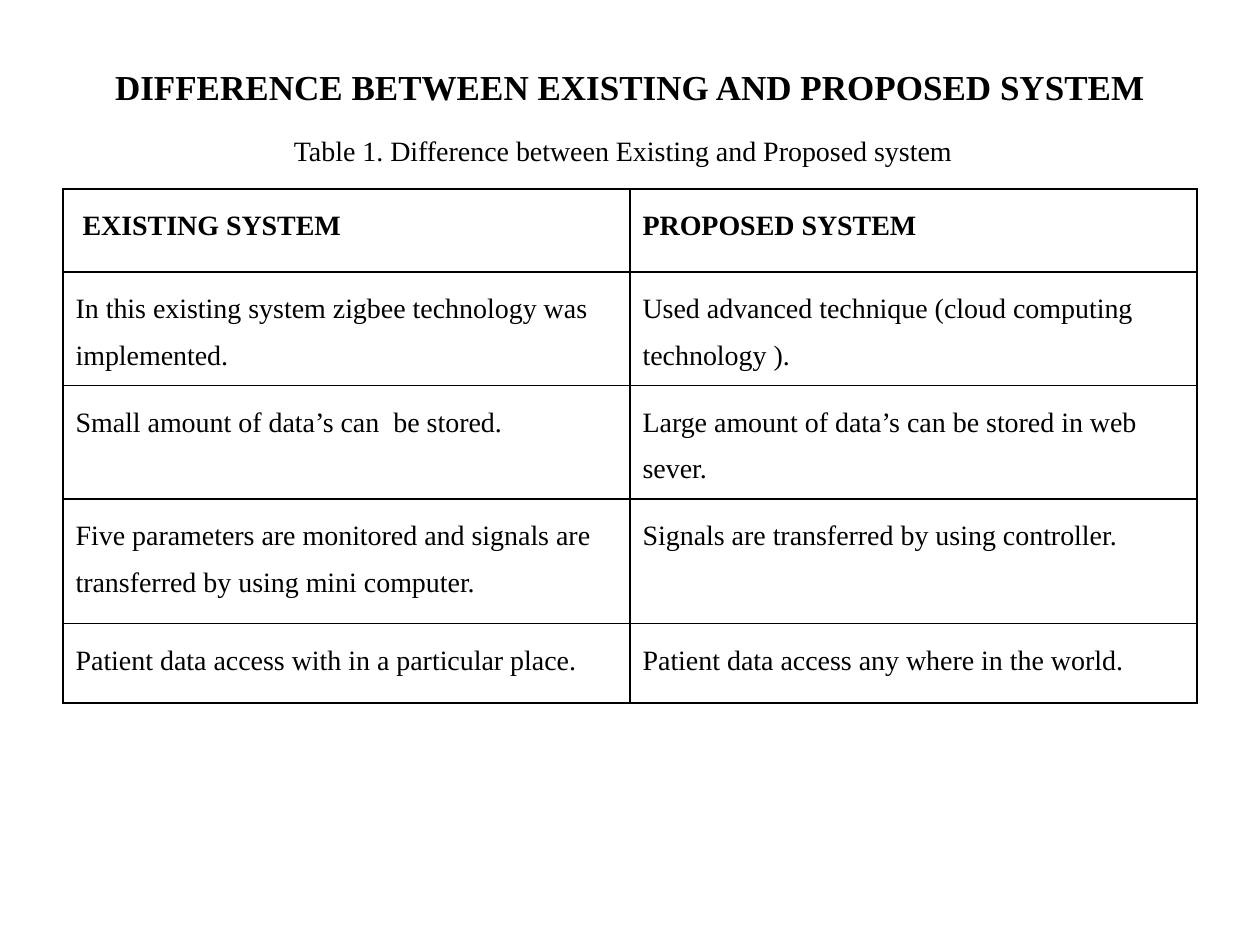
from lxml import etree
from pptx import Presentation
from pptx.dml.color import RGBColor
from pptx.enum import text
from pptx.oxml import ns
from pptx.util import Inches, Pt

COLORS = {"ink": "000000", "paper": "FFFFFF"}
FONT = "Times New Roman"
TITLE = "DIFFERENCE BETWEEN EXISTING AND PROPOSED SYSTEM"
CAPTION = "Table 1. Difference between Existing and Proposed system"
ROWS = [
    (0.66, " EXISTING SYSTEM", "PROPOSED SYSTEM"),
    (0.9, "In this existing system zigbee technology was implemented.",
     "Used advanced technique (cloud computing technology )."),
    (0.9, "Small amount of data’s can  be stored.",
     "Large amount of data’s can be stored in web sever."),
    (0.99, "Five parameters are monitored and signals are transferred by using mini computer.",
     "Signals are transferred by using controller."),
    (0.63, "Patient data access with in a particular place.",
     "Patient data access any where in the world."),
]
COLUMN_WIDTH = 4.5


def write(frame, words, size, bold=False, align=text.PP_ALIGN.LEFT, spacing=None):
    paragraph = frame.paragraphs[0]
    paragraph.alignment = align
    if spacing:
        paragraph.line_spacing = spacing
    run = paragraph.add_run()
    run.text = words
    run.font.name = FONT
    run.font.size = Pt(size)
    run.font.bold = bold
    run.font.color.rgb = RGBColor.from_string(COLORS["ink"])


def add_title(slide):
    title = slide.shapes.title
    title.left, title.top = Inches(0.5), Inches(0.3)
    title.width, title.height = Inches(9), Inches(0.78)
    title.text_frame.vertical_anchor = text.MSO_ANCHOR.MIDDLE
    write(title.text_frame, TITLE, 20, True, text.PP_ALIGN.CENTER)


def add_caption(slide):
    box = slide.shapes.add_textbox(Inches(0.61), Inches(1.01), Inches(8.67), Inches(0.37))
    box.text_frame.word_wrap = True
    box.text_frame.auto_size = text.MSO_AUTO_SIZE.SHAPE_TO_FIT_TEXT
    write(box.text_frame, CAPTION, 16, align=text.PP_ALIGN.CENTER)


def format_cell(cell):
    """Draw a thin line on all four sides and fill the cell."""
    properties = cell._tc.get_or_add_tcPr()
    for side in ("a:lnL", "a:lnR", "a:lnT", "a:lnB"):
        line = etree.SubElement(properties, ns.qn(side), w=str(Pt(1)))
        fill = etree.SubElement(line, ns.qn("a:solidFill"))
        etree.SubElement(fill, ns.qn("a:srgbClr"), val=COLORS["ink"])
    cell.fill.solid()
    cell.fill.fore_color.rgb = RGBColor.from_string(COLORS["paper"])


def add_comparison_table(slide):
    height = sum(row[0] for row in ROWS)
    table = slide.shapes.add_table(len(ROWS), 2, Inches(0.5), Inches(1.5),
                                   Inches(2 * COLUMN_WIDTH), Inches(height)).table
    for column in table.columns:
        column.width = Inches(COLUMN_WIDTH)
    for row_index, (row_height, *entries) in enumerate(ROWS):
        table.rows[row_index].height = Inches(row_height)
        for column_index, words in enumerate(entries):
            cell = table.cell(row_index, column_index)
            format_cell(cell)
            write(cell.text_frame, words, 16, bold=row_index == 0, spacing=1.5)


def main():
    presentation = Presentation()
    presentation.slide_width, presentation.slide_height = Inches(10), Inches(7.5)
    slide = presentation.slides.add_slide(presentation.slide_layouts[5])
    add_title(slide)
    add_comparison_table(slide)
    add_caption(slide)
    presentation.save("out.pptx")


if __name__ == "__main__":
    main()
